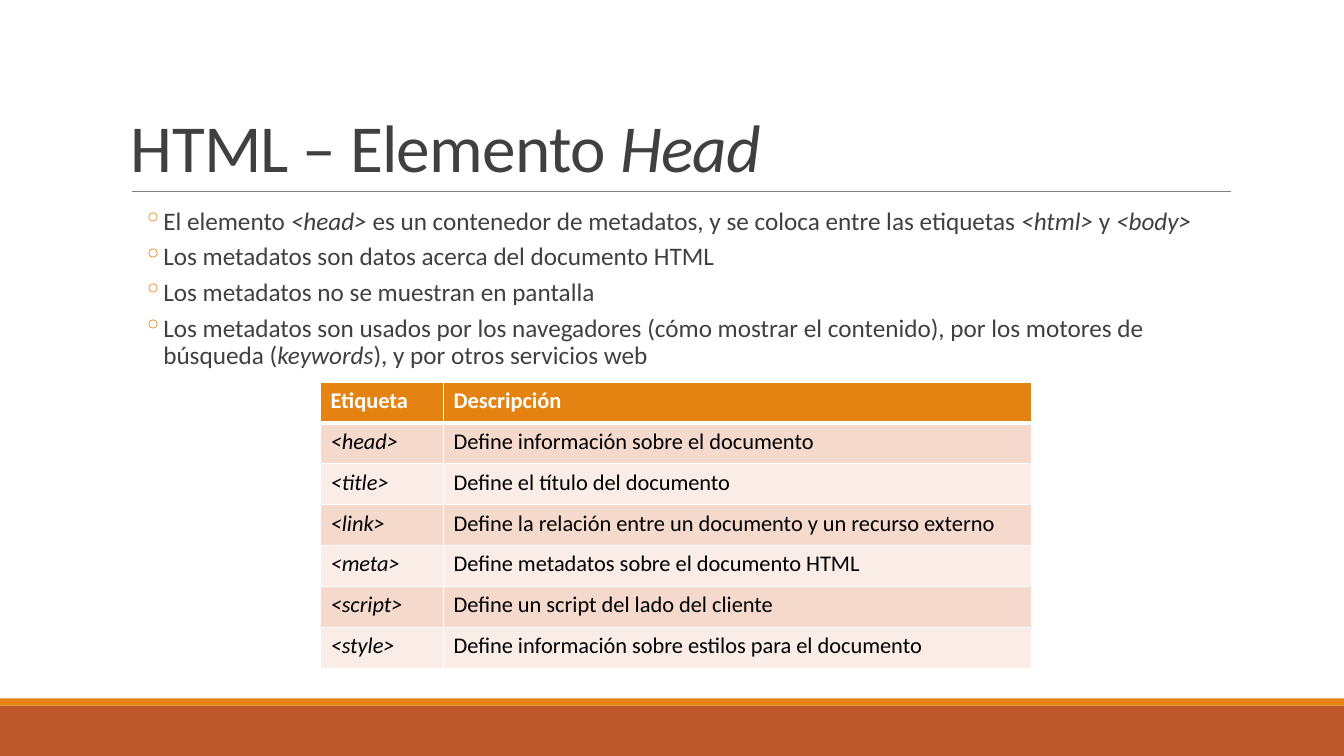
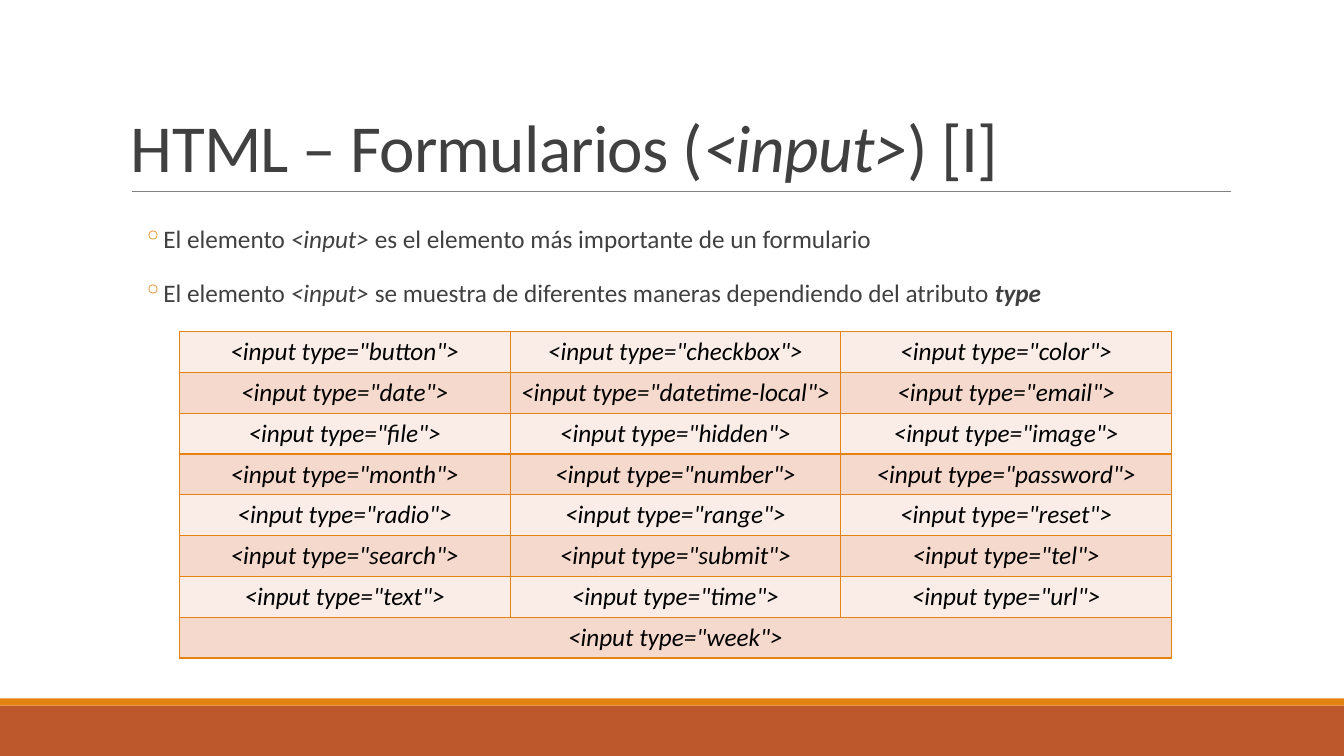
from dataclasses import dataclass

from lxml import etree
from pptx import Presentation
from pptx.dml.color import RGBColor
from pptx.enum.shapes import MSO_CONNECTOR, MSO_SHAPE
from pptx.enum.text import MSO_ANCHOR, PP_ALIGN
from pptx.oxml.ns import qn
from pptx.util import Emu, Pt

RECT, STRAIGHT = MSO_SHAPE.RECTANGLE, MSO_CONNECTOR.STRAIGHT
TOP, BOTTOM = MSO_ANCHOR.TOP, MSO_ANCHOR.BOTTOM
LEFT, CENTER, JUSTIFY = PP_ALIGN.LEFT, PP_ALIGN.CENTER, PP_ALIGN.JUSTIFY
PX = 9144  # 100 px to the inch


@dataclass(frozen=True)
class Theme:
    font: str = "Calibri"
    text: str = "404040"
    cell_text: str = "000000"
    white: str = "FFFFFF"
    rule: str = "808080"
    accent: str = "E48312"
    footer: str = "BD582C"
    dark_row: str = "F5D9CC"
    light_row: str = "FAEDE7"
    title_size: int = 48
    body_size: int = 18
    small_size: int = 16


@dataclass(frozen=True)
class Run:
    text: str
    italic: bool = False
    bold: bool = False


@dataclass(frozen=True)
class Band:
    top: int
    height: int
    color: str


@dataclass(frozen=True)
class Grid:
    left: int
    top: int
    height: int
    cols: list[int]
    rows: list[list[Run]]
    size: int
    align: PP_ALIGN
    border: str
    fills: tuple[str, str]
    header: bool = False


T = Theme()
BANDS = [Band(700, 50, T.footer), Band(693, 7, T.accent)]


def px(n: int) -> Emu:
    return Emu(n * PX)


def rgb(color: str) -> RGBColor:
    return RGBColor.from_string(color)


def it(text: str) -> Run:
    return Run(text, italic=True)


def write(p, runs: list[Run], *, size: int, color: str, align=LEFT,
          spacing: float = 1.0, tracking: int = 0) -> None:
    """Fill one paragraph with formatted runs."""
    p.alignment, p.line_spacing = align, spacing
    for run in runs:
        r = p.add_run()
        r.text = run.text
        r.font.name, r.font.size = T.font, Pt(size)
        r.font.italic, r.font.bold = run.italic, run.bold
        r.font.color.rgb = rgb(color)
        if tracking:
            r._r.get_or_add_rPr().set("spc", str(tracking))


def add_bullet(p) -> None:
    pPr = p._p.get_or_add_pPr()
    pPr.set("marL", str(px(42)))
    pPr.set("indent", str(px(-20)))
    color = etree.SubElement(pPr, qn("a:buClr"))
    etree.SubElement(color, qn("a:srgbClr"), val=T.accent)
    etree.SubElement(pPr, qn("a:buChar"), char="◦")


def add_textbox(s, top: int, height: int, anchor):
    tf = s.shapes.add_textbox(px(120), px(top), px(1100), px(height)).text_frame
    tf.word_wrap, tf.vertical_anchor = True, anchor
    return tf


def add_base(prs, title: list[Run]):
    """New slide with the footer bands, title and rule."""
    s = prs.slides.add_slide(prs.slide_layouts[6])
    for band in BANDS:
        sp = s.shapes.add_shape(RECT, 0, px(band.top), prs.slide_width, px(band.height))
        sp.shadow.inherit = False
        sp.fill.solid()
        sp.fill.fore_color.rgb = rgb(band.color)
        sp.line.fill.background()
    rule = s.shapes.add_connector(STRAIGHT, px(131), px(190), px(1221), px(190))
    rule.line.color.rgb, rule.line.width = rgb(T.rule), Pt(0.5)
    etree.SubElement(rule._element.spPr, qn("a:effectLst"))
    tf = add_textbox(s, 31, 159, BOTTOM)
    write(tf.paragraphs[0], title, size=T.title_size, color=T.text,
          spacing=0.85, tracking=-50)
    return s


def add_bullets(s, items: list[list[Run]], spacing: float) -> None:
    tf = add_textbox(s, 202, 440, TOP)
    tf.margin_left = tf.margin_right = 0
    for n, runs in enumerate(items):
        p = tf.add_paragraph() if n else tf.paragraphs[0]
        write(p, runs, size=T.body_size, color=T.text, spacing=spacing)
        p.space_before, p.space_after = Pt(2), Pt(4)
        add_bullet(p)


def set_borders(cell, color: str, widths: dict[str, int]) -> None:
    """Borders come before the fill in the cell properties."""
    tcPr = cell._tc.get_or_add_tcPr()
    for n, side in enumerate("LRTB"):
        ln = etree.Element(qn(f"a:ln{side}"), w=str(Pt(widths.get(side, 1))))
        fill = etree.SubElement(ln, qn("a:solidFill"))
        etree.SubElement(fill, qn("a:srgbClr"), val=color)
        tcPr.insert(n, ln)


def add_grid(s, grid: Grid) -> None:
    """Table with alternating rows; a short row spans the full width."""
    count = len(grid.rows)
    table = s.shapes.add_table(count, len(grid.cols), px(grid.left), px(grid.top),
                               px(sum(grid.cols)), px(grid.height)).table
    table.first_row = table.horz_banding = False
    for col, width in zip(table.columns, grid.cols):
        col.width = px(width)
    for y, runs in enumerate(grid.rows):
        table.rows[y].height = Emu(px(grid.height) // count)
        is_header = grid.header and y == 0
        thick = {0: {"B": 3}, 1: {"T": 3}}.get(y, {}) if grid.header else {}
        for x in range(len(grid.cols)):
            cell = table.cell(y, x)
            cell.fill.solid()
            cell.fill.fore_color.rgb = rgb(T.accent if is_header else grid.fills[y % 2])
            set_borders(cell, grid.border, thick)
        if len(runs) < len(grid.cols):
            table.cell(y, 0).merge(table.cell(y, len(grid.cols) - 1))
        for x, run in enumerate(runs):
            write(table.cell(y, x).text_frame.paragraphs[0], [run], size=grid.size,
                  color=T.white if is_header else T.cell_text, align=grid.align)


def build_head(prs) -> None:
    s = add_base(prs, [Run("HTML – Elemento "), it("Head")])
    add_bullets(s, [
        [Run("El elemento "), it("<head> "),
         Run("es un contenedor de metadatos, y se coloca entre las etiquetas "),
         it("<html>"), Run(" y "), it("<body>")],
        [Run("Los metadatos son datos acerca del documento HTML")],
        [Run("Los metadatos no se muestran en pantalla")],
        [Run("Los metadatos son usados por los navegadores (cómo mostrar el contenido), "
             "por los motores de búsqueda ("),
         it("keywords"), Run("), y por otros servicios web")],
    ], spacing=0.9)
    tags = {
        "head": "Define información sobre el documento",
        "title": "Define el título del documento",
        "link": "Define la relación entre un documento y un recurso externo",
        "meta": "Define metadatos sobre el documento HTML",
        "script": "Define un script del lado del cliente",
        "style": "Define información sobre estilos para el documento",
    }
    header = [Run("Etiqueta", bold=True), Run("Descripción", bold=True)]
    rows = [header] + [[it(f"<{tag}>"), Run(use)] for tag, use in tags.items()]
    add_grid(s, Grid(318, 379, 284, [122, 583], rows, T.small_size, JUSTIFY,
                     T.white, (T.light_row, T.dark_row), header=True))


def build_input(prs) -> None:
    s = add_base(prs, [Run("HTML – Formularios ("), it("<input>"), Run(") [I]")])
    add_bullets(s, [
        [Run("El elemento "), it("<input> "),
         Run("es el elemento más importante de un formulario")],
        [Run("El elemento "), it("<input> "),
         Run("se muestra de diferentes maneras dependiendo del atributo "),
         Run("type", italic=True, bold=True)],
    ], spacing=1.5)
    types = ("button checkbox color date datetime-local email file hidden image "
             "month number password radio range reset search submit tel "
             "text time url week").split()
    cells = [it(f'<input type="{name}">') for name in types]
    rows = [cells[n:n + 3] for n in range(0, len(cells), 3)]
    add_grid(s, Grid(178, 329, 324, [328] * 3, rows, T.body_size, CENTER,
                     T.accent, (T.light_row, T.dark_row)))


def main() -> None:
    prs = Presentation()
    prs.slide_width, prs.slide_height = px(1333), px(750)
    build_head(prs)
    build_input(prs)
    prs.save("out.pptx")


if __name__ == "__main__":
    main()
